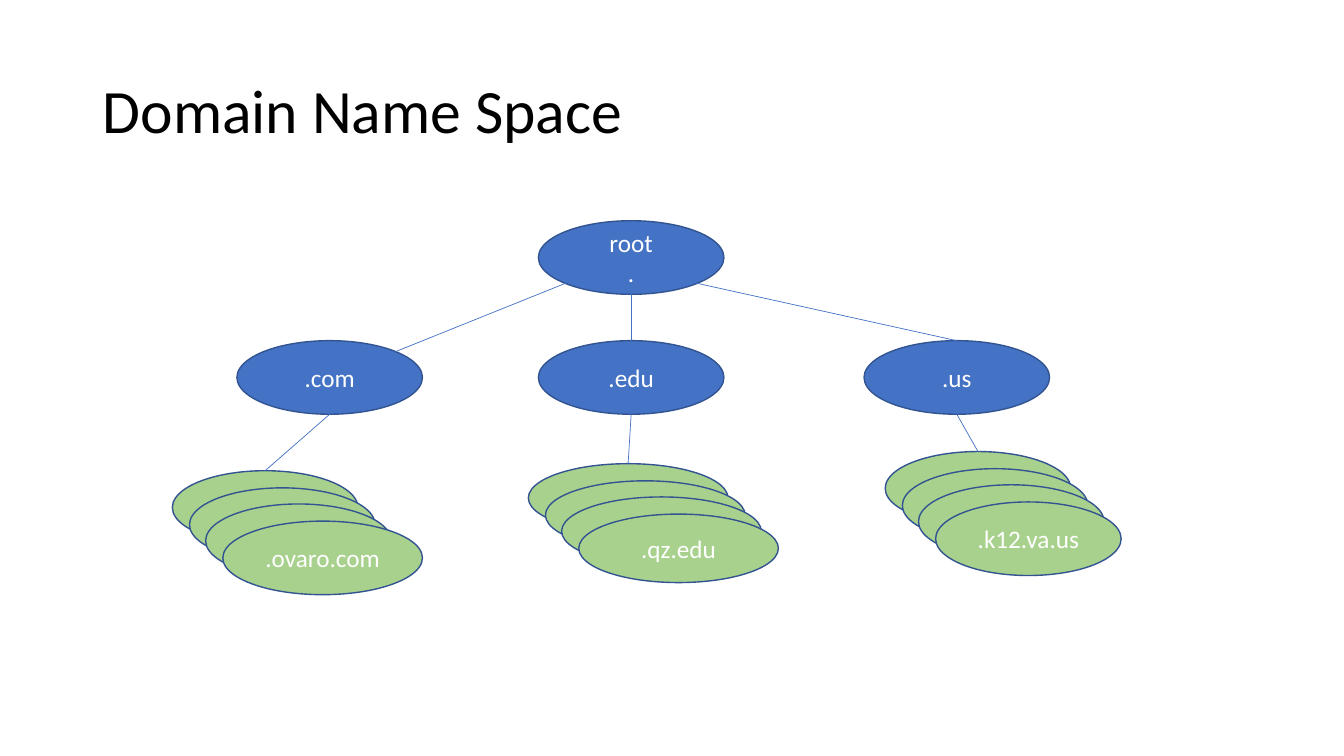
from dataclasses import dataclass
from math import cos, radians, sin

from pptx import Presentation
from pptx import util as u
from pptx.dml.color import RGBColor
from pptx.enum import shapes, text
from pptx.oxml.ns import qn

PX = 9144  # 100 px to the inch
BLUE, GREEN, OUTLINE = "4472C4", "A9D18E", "325491"
WHITE, BLACK = "FFFFFF", "000000"
TOP, UPPER_RIGHT, LOWER_RIGHT, BOTTOM, LOWER_LEFT = -90, -45, 45, 90, 135


@dataclass(frozen=True)
class Node:
    label: str
    left: int
    top: int
    width: int = 184
    height: int = 73
    fill: str = BLUE

    def edge(self, angle: int) -> tuple[int, int]:
        """Point on the ellipse, with the angle running clockwise from the right."""
        x = self.left + self.width / 2 * (1 + cos(radians(angle)))
        y = self.top + self.height / 2 * (1 + sin(radians(angle)))
        return round(x), round(y)


@dataclass(frozen=True)
class Stack:
    """Overlapping nodes; only the front one has a label."""
    label: str
    left: int
    top: int
    width: int = 184
    height: int = 73
    front_width: int = 184
    count: int = 4
    step: float = 16.7

    def nodes(self) -> list[Node]:
        front = self.count - 1
        return [
            Node(
                self.label if i == front else "",
                round(self.left + i * self.step),
                round(self.top + i * self.step),
                self.front_width if i == front else self.width,
                self.height,
                GREEN,
            )
            for i in range(self.count)
        ]


@dataclass(frozen=True)
class Branch:
    parent: Node
    parent_angle: int
    child: Node
    child_angle: int


ROOT = Node("root\n.", 534, 219)
COM = Node(".com", 235, 338)
EDU = Node(".edu", 534, 338)
US = Node(".us", 857, 338)
COM_STACK = Stack(".ovaro.com", 171, 467, front_width=198)
EDU_STACK = Stack(".qz.edu", 524, 460, 198, 68, 198)
US_STACK = Stack(".k12.va.us", 878, 448)
STACKS = [COM_STACK, EDU_STACK, US_STACK]
BRANCHES = [
    Branch(ROOT, LOWER_LEFT, COM, UPPER_RIGHT),
    Branch(ROOT, BOTTOM, EDU, TOP),
    Branch(ROOT, LOWER_RIGHT, US, TOP),
    *(
        Branch(domain, BOTTOM, stack.nodes()[0], TOP)
        for domain, stack in zip([COM, EDU, US], STACKS)
    ),
]


def px(length: float) -> u.Emu:
    return u.Emu(round(length * PX))


def set_color(color_format, color: str) -> None:
    color_format.rgb = RGBColor.from_string(color)


def write_text(shape, content: str, *, size: int, color: str,
               align=text.PP_ALIGN.CENTER, spacing: float = 1.0) -> None:
    frame = shape.text_frame
    frame.word_wrap = True
    frame.auto_size = text.MSO_AUTO_SIZE.NONE
    frame.vertical_anchor = text.MSO_ANCHOR.MIDDLE
    frame.text = content
    for paragraph in frame.paragraphs:
        paragraph.alignment = align
        paragraph.line_spacing = spacing
        for run in paragraph.runs:
            run.font.name = "Calibri"
            run.font.size = u.Pt(size)
            set_color(run.font.color, color)


def draw_title(slide, content: str) -> None:
    title = slide.shapes.title
    title.left, title.top, title.width, title.height = map(px, (92, 40, 1150, 145))
    write_text(title, content, size=44, color=BLACK,
               align=text.PP_ALIGN.LEFT, spacing=0.9)


def draw_node(slide, node: Node) -> None:
    shape = slide.shapes.add_shape(
        shapes.MSO_SHAPE.OVAL,
        *map(px, (node.left, node.top, node.width, node.height)),
    )
    shape.shadow.inherit = False
    shape.fill.solid()
    set_color(shape.fill.fore_color, node.fill)
    set_color(shape.line.color, OUTLINE)
    shape.line.width = u.Pt(1)
    if node.label:
        write_text(shape, node.label, size=18, color=WHITE)


def draw_branch(slide, branch: Branch) -> None:
    start = branch.parent.edge(branch.parent_angle)
    end = branch.child.edge(branch.child_angle)
    connector = slide.shapes.add_connector(
        shapes.MSO_CONNECTOR.STRAIGHT, *map(px, start + end)
    )
    set_color(connector.line.color, BLUE)
    connector.line.width = u.Pt(0.5)
    properties = connector.element.spPr
    properties.append(properties.makeelement(qn("a:effectLst"), {}))


def main() -> None:
    presentation = Presentation()
    presentation.slide_width, presentation.slide_height = px(1333), px(750)
    slide = presentation.slides.add_slide(
        presentation.slide_layouts.get_by_name("Title Only")
    )
    draw_title(slide, "Domain Name Space")
    for node in [ROOT, US, EDU, COM]:
        draw_node(slide, node)
    for stack in STACKS:
        for node in stack.nodes():
            draw_node(slide, node)
    for branch in BRANCHES:
        draw_branch(slide, branch)
    presentation.save("out.pptx")


if __name__ == "__main__":
    main()
